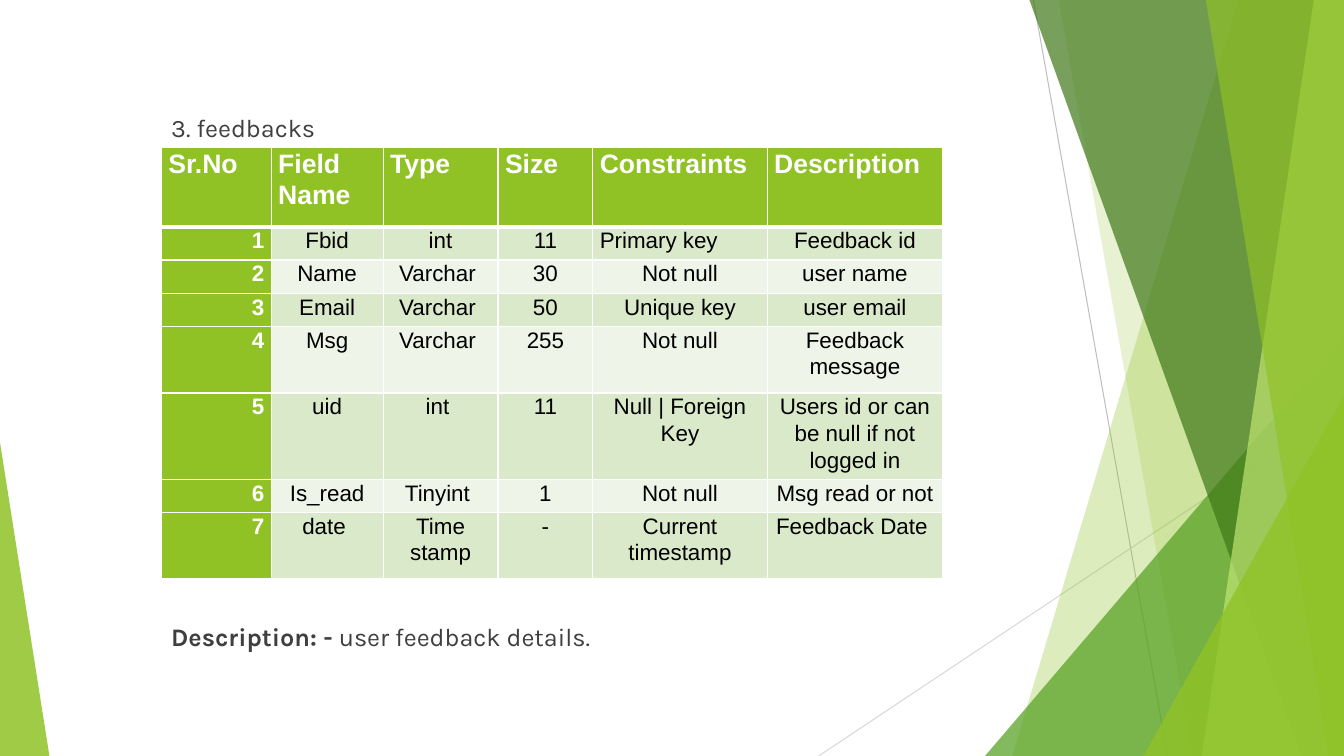
from dataclasses import dataclass

from lxml.etree import SubElement
from pptx import Presentation
from pptx.dml.color import RGBColor
from pptx.enum.shapes import MSO_CONNECTOR, MSO_SHAPE
from pptx.enum.text import MSO_ANCHOR, PP_ALIGN
from pptx.oxml.ns import qn
from pptx.util import Inches, Pt


@dataclass(frozen=True)
class Theme:
    lime: str = "90C226"
    green: str = "54A021"
    forest: str = "3F7818"
    pale_lime: str = "BFE471"
    band_dark: str = "DBE9CB"
    band_light: str = "EEF4E7"
    white: str = "FFFFFF"
    black: str = "000000"
    body_text: str = "3F3F3F"
    ray: str = "BFBFBF"
    light_ray: str = "D8D8D8"
    body_font: str = "Karla"
    table_font: str = "Arial"
    body_size: float = 18
    header_size: float = 19
    cell_size: float = 16


@dataclass(frozen=True)
class Ray:
    start: tuple[float, float]
    end: tuple[float, float]
    color: str


@dataclass(frozen=True)
class Panel:
    """Facet reaching the right slide edge, from its top-left to its bottom-left corner."""
    top_left: float
    bottom_left: float
    color: str
    opacity: int


@dataclass(frozen=True)
class Triangle:
    left: float
    top: float
    width: float
    apex: float
    color: str
    opacity: int


@dataclass(frozen=True)
class Span:
    text: str
    bold: bool = False


THEME = Theme()
WIDTH, HEIGHT = 13.33, 7.5

RAYS = [
    Ray((10.25, 0), (11.58, HEIGHT), THEME.ray),
    Ray((WIDTH, 4.03), (8.12, HEIGHT), THEME.light_ray),
]
FACETS = [
    Panel(12.28, 10.04, THEME.lime, 30),
    Panel(10.5, 11.83, THEME.lime, 20),
    Triangle(9.77, 3.33, 3.56, 1, THEME.green, 72),
    Panel(10.21, 12.91, THEME.forest, 70),
    Panel(13.03, 11.92, THEME.pale_lime, 70),
    Panel(11.96, 13.18, THEME.lime, 65),
    Triangle(11.34, 3.93, 1.99, 1, THEME.lime, 80),
    Triangle(0, 4.39, 0.49, 0, THEME.lime, 85),
]

COLUMN_WIDTHS = [1.09, 1.11, 1.14, 0.94, 1.73, 1.74]
ROW_HEIGHTS = [0.79, 0.33, 0.33, 0.33, 0.66, 0.66, 0.33, 0.66]
FIELDS = [
    ["Sr.No", "Field Name", "Type", "Size", "Constraints", "Description"],
    ["1", "Fbid", "int", "11", "Primary key", "Feedback id"],
    ["2", "Name", "Varchar ", "30", "Not null", "user name"],
    ["3", "Email", "Varchar ", "50", "Unique key", "user email"],
    ["4", "Msg", "Varchar ", "255", "Not null", "Feedback message"],
    ["5", "uid", "int ", "11", "Null | Foreign Key", "Users id or can be null if not logged in"],
    ["6", "Is_read", "Tinyint ", "1", "Not null", "Msg read or not"],
    ["7", "date ", "Time stamp", "-", "Current timestamp", "Feedback Date "],
]
LEFT_ALIGNED = "Primary key"


def color_of(code: str) -> RGBColor:
    return RGBColor.from_string(code)


def draw_ray(page, ray: Ray) -> None:
    line = page.shapes.add_connector(
        MSO_CONNECTOR.STRAIGHT, *(Inches(value) for value in ray.start + ray.end))
    line.line.color.rgb = color_of(ray.color)
    line.line.width = Pt(0.75)
    SubElement(line._element.spPr, qn("a:effectLst"))


def draw_facet(page, facet: Panel | Triangle) -> None:
    if isinstance(facet, Panel):
        outline = page.shapes.build_freeform(Inches(facet.top_left), 0)
        corners = [(WIDTH, 0), (WIDTH, HEIGHT), (facet.bottom_left, HEIGHT)]
        outline.add_line_segments([(Inches(x), Inches(y)) for x, y in corners])
        shape = outline.convert_to_shape()
    else:
        shape = page.shapes.add_shape(
            MSO_SHAPE.ISOSCELES_TRIANGLE, Inches(facet.left), Inches(facet.top),
            Inches(facet.width), Inches(HEIGHT - facet.top))
        shape.adjustments[0] = facet.apex
    shape.shadow.inherit = False
    shape.line.fill.background()
    shape.fill.solid()
    shape.fill.fore_color.rgb = color_of(facet.color)
    fill_color = shape._element.spPr.find(qn("a:solidFill"))[0]
    SubElement(fill_color, qn("a:alpha"), val=str(facet.opacity * 1000))


def add_span(para, span: Span, font: str, size: float, color: str) -> None:
    run = para.add_run()
    run.text = span.text
    run.font.name = font
    run.font.size = Pt(size)
    run.font.bold = span.bold
    run.font.color.rgb = color_of(color)


def add_text(page, left: float, top: float, width: float, height: float,
             spans: list[Span]) -> None:
    box = page.shapes.add_textbox(Inches(left), Inches(top), Inches(width), Inches(height))
    box.text_frame.word_wrap = True
    for span in spans:
        add_span(box.text_frame.paragraphs[0], span,
                 THEME.body_font, THEME.body_size, THEME.body_text)


def set_borders(cell, top: float, bottom: float) -> None:
    properties = cell._tc.get_or_add_tcPr()
    for side, width in {"L": 1, "R": 1, "T": top, "B": bottom}.items():
        line = SubElement(properties, qn(f"a:ln{side}"), w=str(Pt(width)))
        SubElement(SubElement(line, qn("a:solidFill")), qn("a:srgbClr"), val=THEME.white)


def fill_cell(cell, text: str, row: int, column: int) -> None:
    is_header = row == 0
    is_label = is_header or column == 0
    # Borders precede the fill in the cell properties.
    set_borders(cell, top=3 if row == 1 else 1, bottom=3 if is_header else 1)
    band = THEME.band_dark if row % 2 else THEME.band_light
    cell.fill.solid()
    cell.fill.fore_color.rgb = color_of(THEME.lime if is_label else band)
    cell.margin_left = cell.margin_right = Inches(0.07)
    cell.margin_top = cell.margin_bottom = 0
    cell.vertical_anchor = MSO_ANCHOR.TOP
    para = cell.text_frame.paragraphs[0]
    para.line_spacing = 1.07
    if is_header or text == LEFT_ALIGNED:
        para.alignment = PP_ALIGN.LEFT
    else:
        para.alignment = PP_ALIGN.RIGHT if column == 0 else PP_ALIGN.CENTER
    add_span(para, Span(text, bold=is_label), THEME.table_font,
             THEME.header_size if is_header else THEME.cell_size,
             THEME.white if is_label else THEME.black)


def add_field_table(page) -> None:
    table = page.shapes.add_table(
        len(FIELDS), len(COLUMN_WIDTHS), Inches(1.6), Inches(1.46),
        Inches(sum(COLUMN_WIDTHS)), Inches(sum(ROW_HEIGHTS))).table
    table.horz_banding = False
    for column, width in zip(table.columns, COLUMN_WIDTHS):
        column.width = Inches(width)
    for row, height in zip(table.rows, ROW_HEIGHTS):
        row.height = Inches(height)
    for row, texts in enumerate(FIELDS):
        for column, text in enumerate(texts):
            fill_cell(table.cell(row, column), text, row, column)


def main() -> None:
    deck = Presentation()
    deck.slide_width, deck.slide_height = Inches(WIDTH), Inches(HEIGHT)
    page = deck.slides.add_slide(deck.slide_layouts[6])
    for ray in RAYS:
        draw_ray(page, ray)
    for facet in FACETS:
        draw_facet(page, facet)
    add_text(page, 1.6, 1.07, 8.54, 4.24, [Span("3. feedbacks")])
    add_field_table(page)
    add_text(page, 1.6, 6.11, 7.47, 0.81,
             [Span("Description: -", bold=True), Span(" user feedback details.")])
    deck.save("out.pptx")


if __name__ == "__main__":
    main()
